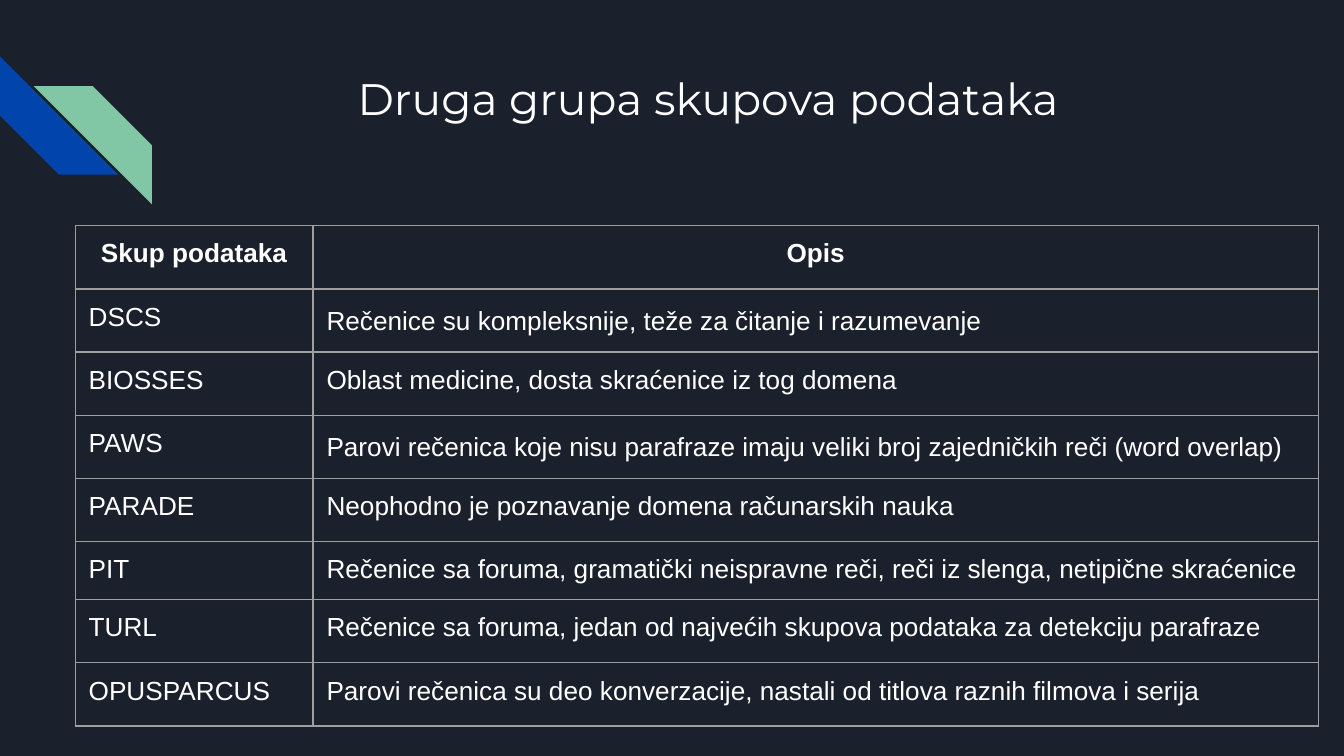
import pptx
import pptx.util
import pptx.dml.color
import pptx.enum.shapes
import pptx.enum.text
import pptx.oxml
import pptx.oxml.ns

Inches = pptx.util.Inches
Pt = pptx.util.Pt
CENTER = pptx.enum.text.PP_ALIGN.CENTER

COLORS = {
    "background": "1B212C",
    "blue": "0145AC",
    "green": "82C7A5",
    "text": "FFFFFF",
    "border": "9E9E9E",
}


def rgb(name):
    return pptx.dml.color.RGBColor.from_string(COLORS[name])


def add_borders(cell):
    properties = cell._tc.get_or_add_tcPr()
    for position, side in enumerate(("lnL", "lnR", "lnT", "lnB")):
        border = pptx.oxml.parse_xml(
            f'<a:{side} {pptx.oxml.ns.nsdecls("a")} w="{Pt(0.75)}"><a:solidFill>'
            f'<a:srgbClr val="{COLORS["border"]}"/></a:solidFill></a:{side}>'
        )
        properties.insert(position, border)


presentation = pptx.Presentation()
presentation.slide_width = Inches(10)
presentation.slide_height = Inches(10 * 9 / 16)
slide = presentation.slides.add_slide(presentation.slide_layouts[6])
slide.background.fill.solid()
slide.background.fill.fore_color.rgb = rgb("background")

for left, top, rotation, color in ((0, 0.42, 270, "blue"), (0.25, 0.64, 90, "green")):
    stripe = slide.shapes.add_shape(
        pptx.enum.shapes.MSO_SHAPE.DIAGONAL_STRIPE,
        Inches(left), Inches(top), Inches(0.88), Inches(0.88),
    )
    stripe.rotation = rotation
    stripe.adjustments[0] = 0.5
    stripe.shadow.inherit = False
    stripe.fill.solid()
    stripe.fill.fore_color.rgb = rgb(color)
    stripe.line.fill.background()

title = slide.shapes.add_textbox(Inches(1.42), Inches(0.43), Inches(7.7), Inches(1)).text_frame
title.word_wrap = True
title.margin_left = title.margin_right = title.margin_top = title.margin_bottom = Inches(0.1)
heading = title.paragraphs[0]
heading.text = "Druga grupa skupova podataka"
heading.alignment = CENTER
heading.font.name = "Montserrat"
heading.font.size = Pt(23.6)
heading.font.color.rgb = rgb("text")

datasets = [
    ("Skup podataka", "Opis"),
    ("DSCS", "Rečenice su kompleksnije, teže za čitanje i razumevanje"),
    ("BIOSSES", "Oblast medicine, dosta skraćenice iz tog domena"),
    ("PAWS", "Parovi rečenica koje nisu parafraze imaju veliki broj zajedničkih reči (word overlap)"),
    ("PARADE", "Neophodno je poznavanje domena računarskih nauka"),
    ("PIT", "Rečenice sa foruma, gramatički neispravne reči, reči iz slenga, netipične skraćenice"),
    ("TURL", "Rečenice sa foruma, jedan od najvećih skupova podataka za detekciju parafraze"),
    ("OPUSPARCUS", "Parovi rečenica su deo konverzacije, nastali od titlova raznih filmova i serija"),
]
loosely_spaced = ("DSCS", "PAWS")

overview = slide.shapes.add_table(
    len(datasets), 2, Inches(0.56), Inches(1.68), Inches(9.25), Inches(3.72)
).table
overview.first_row = False
overview.horz_banding = False
overview.columns[0].width = Inches(1.77)
overview.columns[1].width = Inches(7.48)

for row, entry in enumerate(datasets):
    overview.rows[row].height = Inches(0.43 if entry[0] == "PIT" else 0.47)
    for column, wording in enumerate(entry):
        cell = overview.cell(row, column)
        cell.margin_left = cell.margin_right = Inches(0.1)
        cell.margin_top = cell.margin_bottom = Inches(0.1)
        cell.fill.background()
        add_borders(cell)
        paragraph = cell.text_frame.paragraphs[0]
        paragraph.text = wording
        paragraph.font.name = "Arial"
        paragraph.font.size = Pt(14)
        paragraph.font.bold = row == 0
        paragraph.font.color.rgb = rgb("text")
        if row == 0:
            paragraph.alignment = CENTER
        if column == 1 and entry[0] in loosely_spaced:
            paragraph.line_spacing = 1.15

presentation.save("out.pptx")
